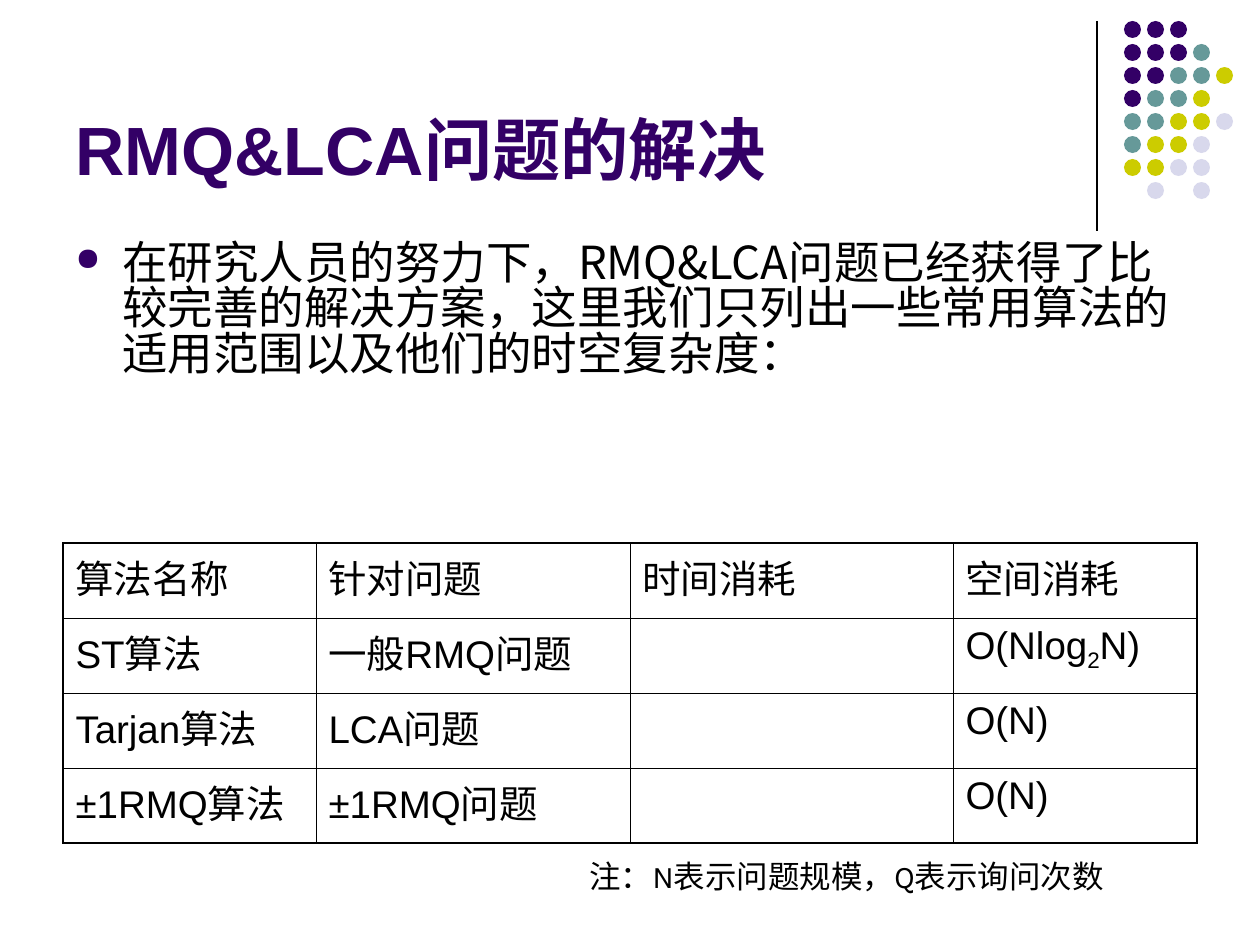
from pptx import Presentation
from pptx import util as u
from pptx.dml.color import RGBColor
from pptx.enum import shapes, text
from pptx.oxml import parse_xml
from pptx.oxml.ns import nsdecls

SCALE = 914400 / 126
PURPLE = RGBColor(0x33, 0x00, 0x66)
TEAL = RGBColor(0x66, 0x99, 0x99)
LIME = RGBColor(0xCC, 0xCC, 0x00)
LILAC = RGBColor(0xD8, 0xD8, 0xEC)
BLACK = RGBColor(0, 0, 0)
CJK = "Noto Sans CJK SC"

DOT_COLORS = {"p": PURPLE, "t": TEAL, "l": LIME, "v": LILAC}
DOT_ROWS = ["ppp", "pppt", "ppttl", "pttl", "ttllv", "tllv", "llvv", " v v"]
COLUMNS = [253, 314, 323, 244]
ALGORITHMS = [
    ["算法名称", "针对问题", "时间消耗", "空间消耗"],
    ["ST算法", "一般RMQ问题", "", ["O(Nlog", "2", "N)"]],
    ["Tarjan算法", "LCA问题", "", "O(N)"],
    ["±1RMQ算法", "±1RMQ问题", "", "O(N)"],
]


def px(n):
    return u.Emu(round(n * SCALE))


def xml(tag, attrs="", inner=""):
    return parse_xml(f'<a:{tag} {nsdecls("a")} {attrs}>{inner}</a:{tag}>')


class Slide:
    def __init__(self, prs):
        self.s = prs.slides.add_slide(prs.slide_layouts[6])

    def line(self, x1, y1, x2, y2, weight):
        sp = self.s.shapes.add_connector(
            shapes.MSO_CONNECTOR.STRAIGHT, px(x1), px(y1), px(x2), px(y2))
        sp.line.color.rgb = BLACK
        sp.line.width = u.Pt(weight)
        sp._element.spPr.append(xml("effectLst"))

    def dot(self, x, y, size, color):
        sp = self.s.shapes.add_shape(
            shapes.MSO_SHAPE.OVAL, px(x), px(y), px(size), px(size))
        sp.shadow.inherit = False
        sp.fill.solid()
        sp.fill.fore_color.rgb = color
        sp.line.fill.background()

    def runs(self, p, content, size, font, color=BLACK, bold=False):
        pieces = [content] if isinstance(content, str) else content
        for i, piece in enumerate(pieces):
            r = p.add_run()
            r.text = piece
            style = {"size": u.Pt(size), "name": font, "bold": bold}
            for key, value in style.items():
                setattr(r.font, key, value)
            r.font.color.rgb = color
            rPr = r._r.get_or_add_rPr()
            rPr.append(xml("ea", f'typeface="{CJK}"'))
            if i % 2:
                rPr.set("baseline", "-25000")

    def text(self, x, y, w, h, content, anchor=text.MSO_ANCHOR.TOP,
             spacing=None, **style):
        tf = self.s.shapes.add_textbox(px(x), px(y), px(w), px(h)).text_frame
        tf.word_wrap = True
        tf.vertical_anchor = anchor
        p = tf.paragraphs[0]
        for key, value in (spacing or {}).items():
            setattr(p, key, value)
        self.runs(p, content, **style)
        return p

    def bullet(self, p, indent):
        pPr = p._p.get_or_add_pPr()
        pPr.set("marL", str(px(indent)))
        pPr.set("indent", str(-px(indent)))
        pPr.append(xml("buClr", inner=f'<a:srgbClr val="{PURPLE}"/>'))
        pPr.append(xml("buSzPct", 'val="70000"'))
        pPr.append(xml("buChar", 'char="●"'))

    def border(self, cell, sides):
        tcPr = cell._tc.get_or_add_tcPr()
        for i, (side, outer) in enumerate(sides.items()):
            width = u.Pt(1.08 if outer else 0.45)
            fill = f'<a:solidFill><a:srgbClr val="{BLACK}"/></a:solidFill>'
            tcPr.insert(i, xml(f"ln{side}", f'w="{width}"', fill))

    def table(self, x, y, columns, row_height, rows, **style):
        last_row, last_col = len(rows) - 1, len(columns) - 1
        tbl = self.s.shapes.add_table(
            len(rows), len(columns), px(x), px(y),
            px(sum(columns)), px(row_height * len(rows))).table
        tbl.first_row = tbl.horz_banding = False
        for col, width in zip(tbl.columns, columns):
            col.width = px(width)
        for i, row in enumerate(rows):
            tbl.rows[i].height = px(row_height)
            for j, content in enumerate(row):
                cell = tbl.cell(i, j)
                cell.fill.background()
                self.border(cell, {"L": j == 0, "R": j == last_col,
                                   "T": i == 0, "B": i == last_row})
                if content:
                    p = cell.text_frame.paragraphs[0]
                    p.space_before = u.Pt(5.5)
                    self.runs(p, content, **style)


def main():
    prs = Presentation()
    prs.slide_width, prs.slide_height = px(1260), px(945)
    s = Slide(prs)
    s.line(1097, 21, 1097, 231, 0.75)
    for i, row in enumerate(DOT_ROWS):
        for j, key in enumerate(row):
            if key in DOT_COLORS:
                s.dot(1124 + 23 * j, 21 + 23 * i, 17, DOT_COLORS[key])
    s.text(63, 16, 1040, 179, "RMQ&LCA问题的解决", text.MSO_ANCHOR.BOTTOM,
           size=39, font="Arial", color=PURPLE, bold=True)
    intro = s.text(
        63, 237, 1134, 294,
        "在研究人员的努力下，RMQ&LCA问题已经获得了比较完善的解决方案，"
        "这里我们只列出一些常用算法的适用范围以及他们的时空复杂度：",
        spacing={"line_spacing": 0.83, "space_before": u.Pt(6.5)},
        size=26, font=CJK)
    s.bullet(intro, 47)
    s.table(63, 543, COLUMNS, 75, ALGORITHMS, size=22, font="Arial")
    s.text(577, 851, 620, 50, "注：N表示问题规模，Q表示询问次数",
           spacing={"space_before": u.Pt(11.2)}, size=18, font="Karla")
    prs.save("out.pptx")


if __name__ == "__main__":
    main()
